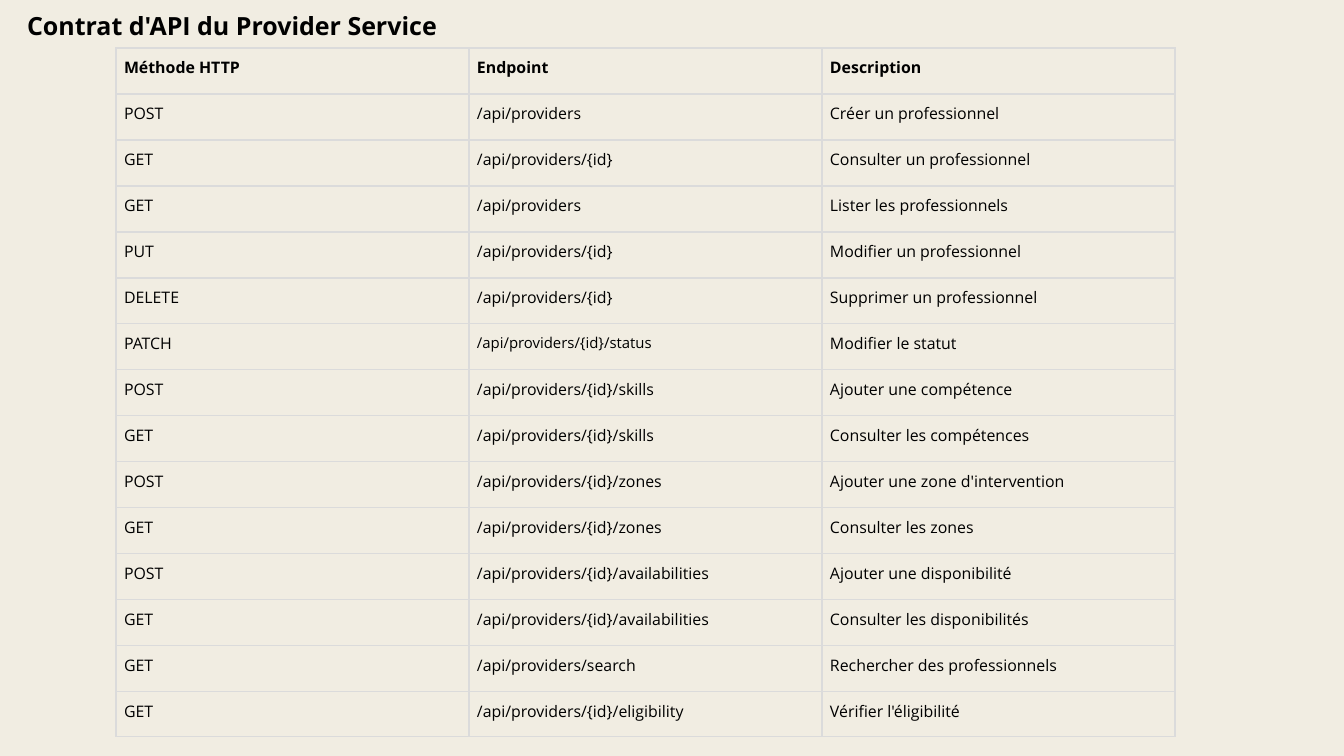
"""Build the slide that lists the API contract of the Provider Service."""
from lxml.etree import SubElement
from pptx import Presentation
from pptx.dml.color import RGBColor
from pptx.enum.text import MSO_ANCHOR, PP_ALIGN
from pptx.oxml.ns import qn
from pptx.util import Pt

TITLE = "Contrat d'API du Provider Service"
HEAD = ("Méthode HTTP", "Endpoint", "Description")
BASE = "/api/providers"
ROUTES = [
    ("POST", "", "Créer un professionnel"),
    ("GET", "/{id}", "Consulter un professionnel"),
    ("GET", "", "Lister les professionnels"),
    ("PUT", "/{id}", "Modifier un professionnel"),
    ("DELETE", "/{id}", "Supprimer un professionnel"),
    ("PATCH", "/{id}/status", "Modifier le statut"),
    ("POST", "/{id}/skills", "Ajouter une compétence"),
    ("GET", "/{id}/skills", "Consulter les compétences"),
    ("POST", "/{id}/zones", "Ajouter une zone d'intervention"),
    ("GET", "/{id}/zones", "Consulter les zones"),
    ("POST", "/{id}/availabilities", "Ajouter une disponibilité"),
    ("GET", "/{id}/availabilities", "Consulter les disponibilités"),
    ("GET", "/search", "Rechercher des professionnels"),
    ("GET", "/{id}/eligibility", "Vérifier l'éligibilité"),
]
ROWS = [HEAD] + [(verb, BASE + tail, text) for verb, tail, text in ROUTES]
SMALL = BASE + "/{id}/status"

FONT = "Open Sans"
INK, PAPER, RULE = "000000", "F1EDE2", "DBDBDB"
LEFT, TOP, COL, ROW, LAST, PAD = 116, 48, 353, 46, 45, 8


def px(count):
    return int(count * 914400 / 67.2)


def color(code):
    return RGBColor.from_string(code)


def style(frame, size, lead, bold):
    para = frame.paragraphs[0]
    para.alignment = PP_ALIGN.LEFT
    para.line_spacing = Pt(lead)
    font = para.runs[0].font
    font.name, font.size, font.bold = FONT, Pt(size), bold
    font.color.rgb = color(INK)


def inset(box, pad):
    box.margin_left = box.margin_right = pad
    box.margin_top = box.margin_bottom = pad


def border(cell):
    props = cell._tc.get_or_add_tcPr()
    for side in ("lnL", "lnR", "lnT", "lnB"):
        line = SubElement(props, qn("a:" + side), w=str(Pt(1.5)))
        fill = SubElement(line, qn("a:solidFill"))
        SubElement(fill, qn("a:srgbClr"), val=RULE)


def add_title(slide):
    title = slide.shapes.title
    title.left, title.top = px(27), px(5)
    title.width, title.height = px(523), px(33)
    frame = title.text_frame
    frame.text = TITLE
    frame.vertical_anchor = MSO_ANCHOR.TOP
    inset(frame, 0)
    style(frame, 26.8, 37.5, True)


def add_routes(slide):
    height = ROW * (len(ROWS) - 1) + LAST
    table = slide.shapes.add_table(
        len(ROWS), len(HEAD), px(LEFT), px(TOP),
        px(COL * len(HEAD)), px(height)).table
    table.first_row = table.horz_banding = False
    for col in table.columns:
        col.width = px(COL)
    for i, row in enumerate(ROWS):
        table.rows[i].height = px(LAST if i == len(ROWS) - 1 else ROW)
        for j, text in enumerate(row):
            cell = table.cell(i, j)
            cell.text = text
            inset(cell, px(PAD))
            size = 16 if text == SMALL else 17
            style(cell.text_frame, size, size * 1.4, i == 0)
            border(cell)
            cell.fill.background()


def main():
    deck = Presentation()
    deck.slide_width, deck.slide_height = px(1344), px(756)
    slide = deck.slides.add_slide(deck.slide_layouts[5])
    slide.background.fill.solid()
    slide.background.fill.fore_color.rgb = color(PAPER)
    add_title(slide)
    add_routes(slide)
    deck.save("out.pptx")


if __name__ == "__main__":
    main()
